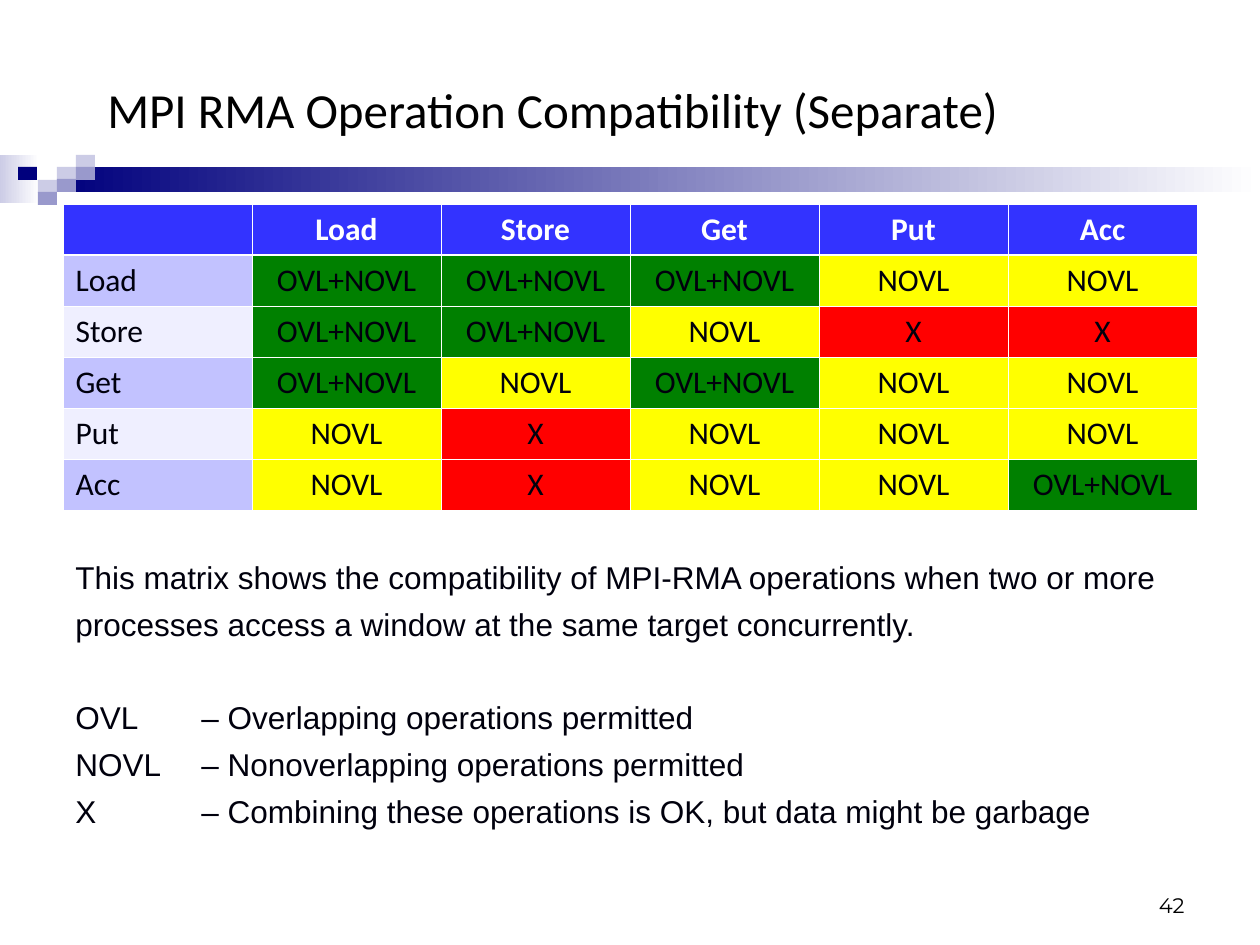
import lxml.etree
import pptx
import pptx.dml.color
import pptx.enum.shapes
import pptx.enum.text
import pptx.oxml.ns
import pptx.util

PX = 914400 / 126
ALIGN = pptx.enum.text.PP_ALIGN
ANCHOR = pptx.enum.text.MSO_ANCHOR

TITLE = "MPI RMA Operation Compatibility (Separate)"
PAGE_NUMBER = "42"
OPERATIONS = ["Load", "Store", "Get", "Put", "Acc"]
BOTH, NOVL, X = "OVL+NOVL", "NOVL", "X"
COMPATIBILITY = [
    [BOTH, BOTH, BOTH, NOVL, NOVL],
    [BOTH, BOTH, NOVL, X, X],
    [BOTH, NOVL, BOTH, NOVL, NOVL],
    [NOVL, X, NOVL, NOVL, NOVL],
    [NOVL, X, NOVL, NOVL, BOTH],
]
CELL_FILLS = {BOTH: "008000", NOVL: "FFFF00", X: "FF0000"}
HEADER_FILL = "3333FF"
BAND_FILLS = ["C2C2FF", "EFEFFF"]
INK, BLACK, WHITE = "00000D", "000000", "FFFFFF"

EXPLANATION = (
    "This matrix shows the compatibility of MPI-RMA operations when two or more "
    "processes access a window at the same target concurrently."
)
LEGEND = [
    ("OVL", "– Overlapping operations permitted"),
    ("NOVL", "– Nonoverlapping operations permitted"),
    ("X", "– Combining these operations is OK, but data might be garbage"),
]

NAVY, LILAC, VIOLET = "00007D", "CCCCE6", "9999CC"
FADES = [((0, 155, 39, 48), LILAC), ((57, 167, 1203, 25), NAVY)]
SQUARE_SIZE = (19, 13)
SQUARES = [
    (57, 167, LILAC), (76, 155, LILAC), (76, 167, VIOLET), (38, 180, LILAC),
    (18, 167, NAVY), (57, 179, VIOLET), (38, 192, VIOLET),
]

TABLE_LEFT, TABLE_TOP = 63, 204
COLUMN_WIDTH, ROW_HEIGHT = 189, 51
THIN, THICK = 0.45, 1.47


def px(length):
    return pptx.util.Emu(round(length * PX))


def rgb(color):
    return pptx.dml.color.RGBColor.from_string(color)


def add_rectangle(slide, box, color, fades=False):
    rectangle = slide.shapes.add_shape(
        pptx.enum.shapes.MSO_SHAPE.RECTANGLE, *map(px, box))
    rectangle.shadow.inherit = False
    rectangle.line.fill.background()
    if fades:
        rectangle.fill.gradient()
        rectangle.fill.gradient_angle = 0
        for stop, stop_color in zip(rectangle.fill.gradient_stops, (color, WHITE)):
            stop.color.rgb = rgb(stop_color)
    else:
        rectangle.fill.solid()
        rectangle.fill.fore_color.rgb = rgb(color)


def set_font(paragraph, name, size, color, bold=False):
    font = paragraph.font
    font.name, font.size, font.bold = name, pptx.util.Pt(size), bold
    font.color.rgb = rgb(color)


def add_text(slide, box, lines, name, size, color,
             anchor=ANCHOR.TOP, align=ALIGN.LEFT, tab=None):
    """Add a wrapped text box and return its paragraphs; tab is a stop in px."""
    frame = slide.shapes.add_textbox(*map(px, box)).text_frame
    frame.word_wrap = True
    frame.vertical_anchor = anchor
    for index, line in enumerate(lines):
        paragraph = frame.add_paragraph() if index else frame.paragraphs[0]
        paragraph.text = line
        paragraph.alignment = align
        if tab:
            stops = lxml.etree.SubElement(
                paragraph._p.get_or_add_pPr(), pptx.oxml.ns.qn("a:tabLst"))
            lxml.etree.SubElement(
                stops, pptx.oxml.ns.qn("a:tab"), pos=str(px(tab)), algn="l")
        set_font(paragraph, name, size, color)
    return frame.paragraphs


def set_borders(cell, top, bottom):
    """Draw white cell borders; top and bottom are widths in points."""
    properties = cell._tc.get_or_add_tcPr()
    sides = [("L", THIN), ("R", THIN), ("T", top), ("B", bottom)]
    for position, (side, width) in enumerate(sides):
        border = lxml.etree.Element(
            pptx.oxml.ns.qn(f"a:ln{side}"), w=str(pptx.util.Pt(width)))
        fill = lxml.etree.SubElement(border, pptx.oxml.ns.qn("a:solidFill"))
        lxml.etree.SubElement(fill, pptx.oxml.ns.qn("a:srgbClr"), val=WHITE)
        properties.insert(position, border)


def add_matrix(slide):
    rows = [["", *OPERATIONS]]
    rows += [[name, *values] for name, values in zip(OPERATIONS, COMPATIBILITY)]
    size = len(rows)
    matrix = slide.shapes.add_table(
        size, size, px(TABLE_LEFT), px(TABLE_TOP),
        px(size * COLUMN_WIDTH), px(size * ROW_HEIGHT)).table
    matrix.first_row = matrix.horz_banding = False
    for row, texts in enumerate(rows):
        for column, text in enumerate(texts):
            if row == 0:
                fill = HEADER_FILL
            elif column == 0:
                fill = BAND_FILLS[(row - 1) % 2]
            else:
                fill = CELL_FILLS[text]
            cell = matrix.cell(row, column)
            cell.text = text
            cell.fill.solid()
            cell.fill.fore_color.rgb = rgb(fill)
            paragraph = cell.text_frame.paragraphs[0]
            paragraph.alignment = ALIGN.CENTER if column else ALIGN.LEFT
            set_font(paragraph, "Calibri", 18, INK if row else WHITE, bold=row == 0)
            set_borders(cell, THICK if row == 1 else THIN, THIN if row else THICK)


def main():
    deck = pptx.Presentation()
    deck.slide_width, deck.slide_height = px(1260), px(945)
    slide = deck.slides.add_slide(deck.slide_layouts[6])

    for box, color in FADES:
        add_rectangle(slide, box, color, fades=True)
    for left, top, color in SQUARES:
        add_rectangle(slide, (left, top, *SQUARE_SIZE), color)

    add_text(slide, (95, 53, 1061, 112), [TITLE], "Calibri", 28, BLACK, ANCHOR.MIDDLE)
    add_matrix(slide)

    notes = [EXPLANATION] + [f"{term}\t{meaning}" for term, meaning in LEGEND]
    paragraphs = add_text(slide, (63, 542, 1134, 285), notes, "Arial", 18, INK, tab=126)
    for paragraph in paragraphs:
        paragraph.line_spacing = 1.25
    paragraphs[1].space_before = pptx.util.Pt(26)

    add_text(slide, (903, 861, 294, 63), [PAGE_NUMBER], "Montserrat", 12, BLACK,
             ANCHOR.BOTTOM, ALIGN.RIGHT)
    deck.save("out.pptx")


if __name__ == "__main__":
    main()
